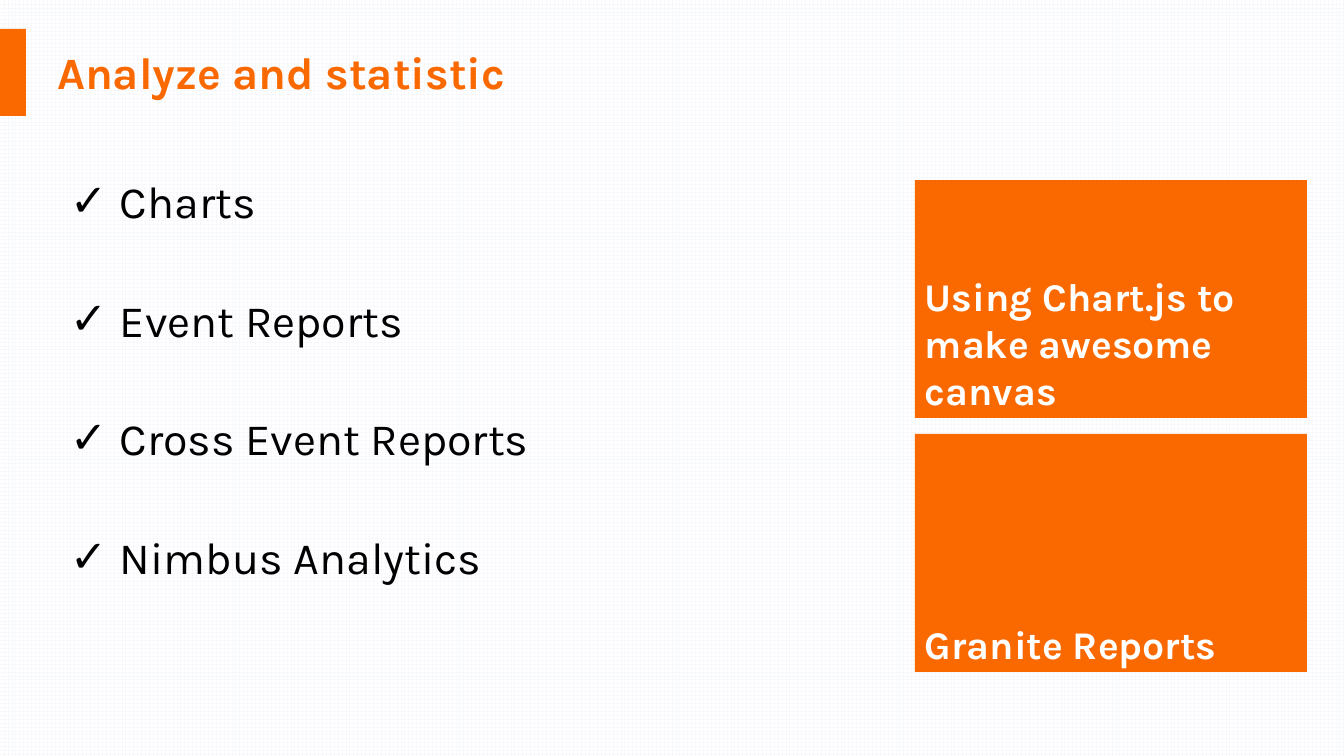
from lxml.etree import SubElement
from pptx import Presentation
from pptx.dml.color import RGBColor
from pptx.enum.dml import MSO_PATTERN
from pptx.enum.shapes import MSO_SHAPE
from pptx.enum.text import MSO_ANCHOR, MSO_AUTO_SIZE, PP_ALIGN
from pptx.oxml.ns import qn
from pptx.util import Pt

SCALE = 914400 / 100.8
COLORS = {"orange": "FA6800", "white": "FFFFFF", "black": "000000", "grid": "F6F8FC"}
TOPICS = ["Charts", "Event Reports", "Cross Event Reports", "Nimbus Analytics"]
CARDS = ["Using Chart.js to make awesome canvas", "Granite Reports"]


def px(*sizes):
    """Turn pixel lengths into EMU."""
    return [round(size * SCALE) for size in sizes]


def color(name):
    """Look up a colour by name."""
    return RGBColor.from_string(COLORS[name])


def style(par, size, tint, bold=False):
    """Align a paragraph left and format its runs."""
    par.alignment = PP_ALIGN.LEFT
    for run in par.runs:
        font = run.font
        font.name, font.size, font.bold = "Karla", Pt(size), bold
        font.color.rgb = color(tint)


def block(slide, box):
    """Add a plain orange rectangle."""
    shape = slide.shapes.add_shape(MSO_SHAPE.RECTANGLE, *px(*box))
    shape.shadow.inherit = False
    shape.fill.solid()
    shape.fill.fore_color.rgb = color("orange")
    shape.line.fill.background()
    return shape


def header(slide, box):
    """Place the edge bar and the title in the box."""
    left, top, width, height = box
    block(slide, (left, top, 26, height))
    title = slide.shapes.title
    title.left, title.top, title.width, title.height = px(left + 47, top, width - 47, height - 2)
    frame = title.text_frame
    frame.text = "Analyze and statistic"
    frame.auto_size = MSO_AUTO_SIZE.NONE
    frame.vertical_anchor = MSO_ANCHOR.MIDDLE
    style(frame.paragraphs[0], 32, "orange", True)


def check(par):
    """Give a paragraph a hanging check mark."""
    props = par._p.get_or_add_pPr()
    indent = px(50)[0]
    props.set("marL", str(indent))
    props.set("indent", str(-indent))
    tint = SubElement(props, qn("a:buClr"))
    SubElement(tint, qn("a:srgbClr"), val=COLORS["black"])
    SubElement(props, qn("a:buFont"), typeface="Arial")
    SubElement(props, qn("a:buChar"), char="✓")


def topics(slide, box):
    """Place the checked list in the box."""
    frame = slide.shapes.add_textbox(*px(*box)).text_frame
    frame.word_wrap = True
    frame.text = "\n".join(TOPICS)
    for par in frame.paragraphs:
        style(par, 32, "black")
        par.line_spacing = 2.0
        par.space_before = Pt(8)
        check(par)


def cards(slide, box):
    """Stack the orange cards evenly in the box."""
    left, top, width, height = box
    gap = 16
    tall = (height - gap * (len(CARDS) - 1)) // len(CARDS)
    for row, text in enumerate(CARDS):
        frame = block(slide, (left, top + row * (tall + gap), width, tall)).text_frame
        frame.word_wrap = True
        frame.vertical_anchor = MSO_ANCHOR.BOTTOM
        frame.text = text
        style(frame.paragraphs[0], 28, "white", True)


def main():
    """Build and save the slide."""
    deck = Presentation()
    deck.slide_width, deck.slide_height = px(1344, 756)
    slide = deck.slides.add_slide(deck.slide_layouts[5])
    fill = slide.background.fill
    fill.patterned()
    fill.pattern = MSO_PATTERN.LARGE_GRID
    fill.fore_color.rgb = color("grid")
    fill.back_color.rgb = color("white")
    header(slide, (0, 29, 1000, 87))
    cards(slide, (915, 180, 392, 492))
    topics(slide, (60, 115, 801, 499))
    deck.save("out.pptx")


if __name__ == "__main__":
    main()
